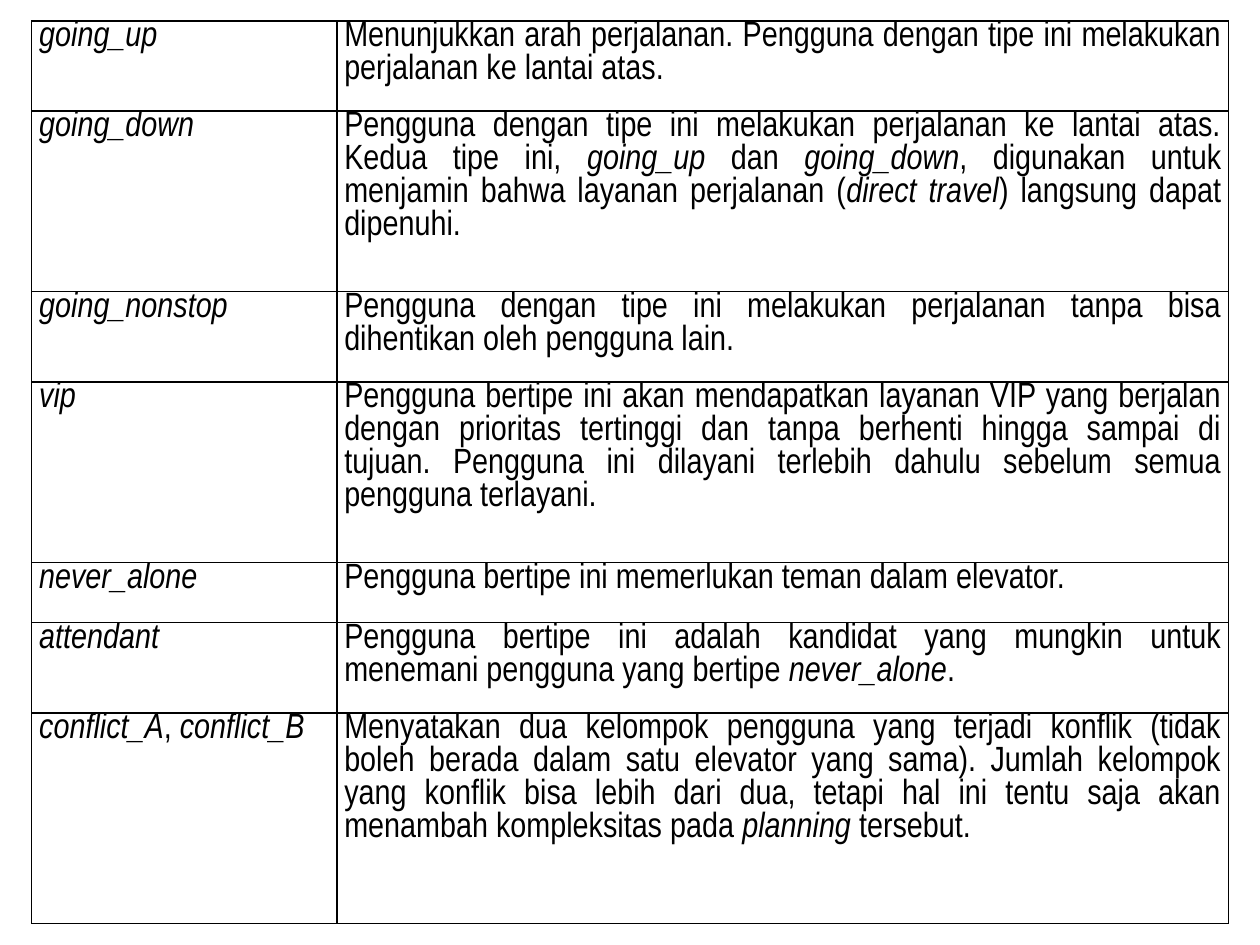
"""Build a slide with a table of elevator passenger types."""
from lxml import etree
from pptx import Presentation
from pptx import util as u
from pptx.dml.color import RGBColor
from pptx.enum import text
from pptx.oxml.ns import qn

BLACK = RGBColor(0, 0, 0)
COLS = [6.15, 17.98]
ROWS = [
    (1.82, "*going_up*",
     "Menunjukkan arah perjalanan. Pengguna dengan tipe ini melakukan "
     "perjalanan ke lantai atas."),
    (3.64, "*going_down*",
     "Pengguna dengan tipe ini melakukan perjalanan ke lantai atas. Kedua "
     "tipe ini, *going_up *dan *going_down*, digunakan untuk menjamin bahwa "
     "layanan perjalanan (*direct travel*) langsung dapat dipenuhi."),
    (1.82, "*going_nonstop*",
     "Pengguna dengan tipe ini melakukan perjalanan tanpa bisa dihentikan "
     "oleh pengguna lain."),
    (3.64, "*vip*",
     "Pengguna bertipe ini akan mendapatkan layanan VIP yang berjalan dengan "
     "prioritas tertinggi dan tanpa berhenti hingga sampai di tujuan. Pengguna "
     "ini dilayani terlebih dahulu sebelum semua pengguna terlayani."),
    (1.21, "*never_alone*",
     "Pengguna bertipe ini memerlukan teman dalam elevator."),
    (1.82, "*attendant*",
     "Pengguna bertipe ini adalah kandidat yang mungkin untuk menemani "
     "pengguna yang bertipe *never_alone*."),
    (4.25, "*conflict_A*, *conflict_B*",
     "Menyatakan dua kelompok pengguna yang terjadi konflik (tidak boleh "
     "berada dalam satu elevator yang sama). Jumlah kelompok yang konflik bisa "
     "lebih dari dua, tetapi hal ini tentu saja akan menambah kompleksitas "
     "pada *planning *tersebut."),
]


def add_borders(cell):
    tcPr = cell._tc.get_or_add_tcPr()
    for side in ("lnL", "lnR", "lnT", "lnB"):
        ln = etree.SubElement(tcPr, qn(f"a:{side}"), w=str(u.Pt(1)))
        fill = etree.SubElement(ln, qn("a:solidFill"))
        etree.SubElement(fill, qn("a:srgbClr"), val=str(BLACK))


def write_cell(cell, marked):
    cell.margin_left = cell.margin_right = u.Cm(0.15)
    cell.margin_top = cell.margin_bottom = 0
    p = cell.text_frame.paragraphs[0]
    p.alignment = text.PP_ALIGN.JUSTIFY
    p.font.name = "Arial Narrow"
    p.font.size = u.Pt(20)
    p.font.color.rgb = BLACK
    for i, part in enumerate(marked.split("*")):
        if part:
            r = p.add_run()
            r.text = part
            r.font.italic = i % 2 == 1


prs = Presentation()
prs.slide_width, prs.slide_height = u.Cm(25.4), u.Cm(19.05)
s = prs.slides.add_slide(prs.slide_layouts[6])

sp = s.shapes.add_table(len(ROWS), len(COLS), u.Cm(0.64), u.Cm(0.42),
                        u.Cm(sum(COLS)), u.Cm(sum(row[0] for row in ROWS)))
table = sp.table
table.first_row = table.horz_banding = False
for column, width in zip(table.columns, COLS):
    column.width = u.Cm(width)
for row, (height, *texts) in zip(table.rows, ROWS):
    row.height = u.Cm(height)
    for cell, marked in zip(row.cells, texts):
        add_borders(cell)
        cell.fill.background()
        write_cell(cell, marked)

prs.save("out.pptx")
